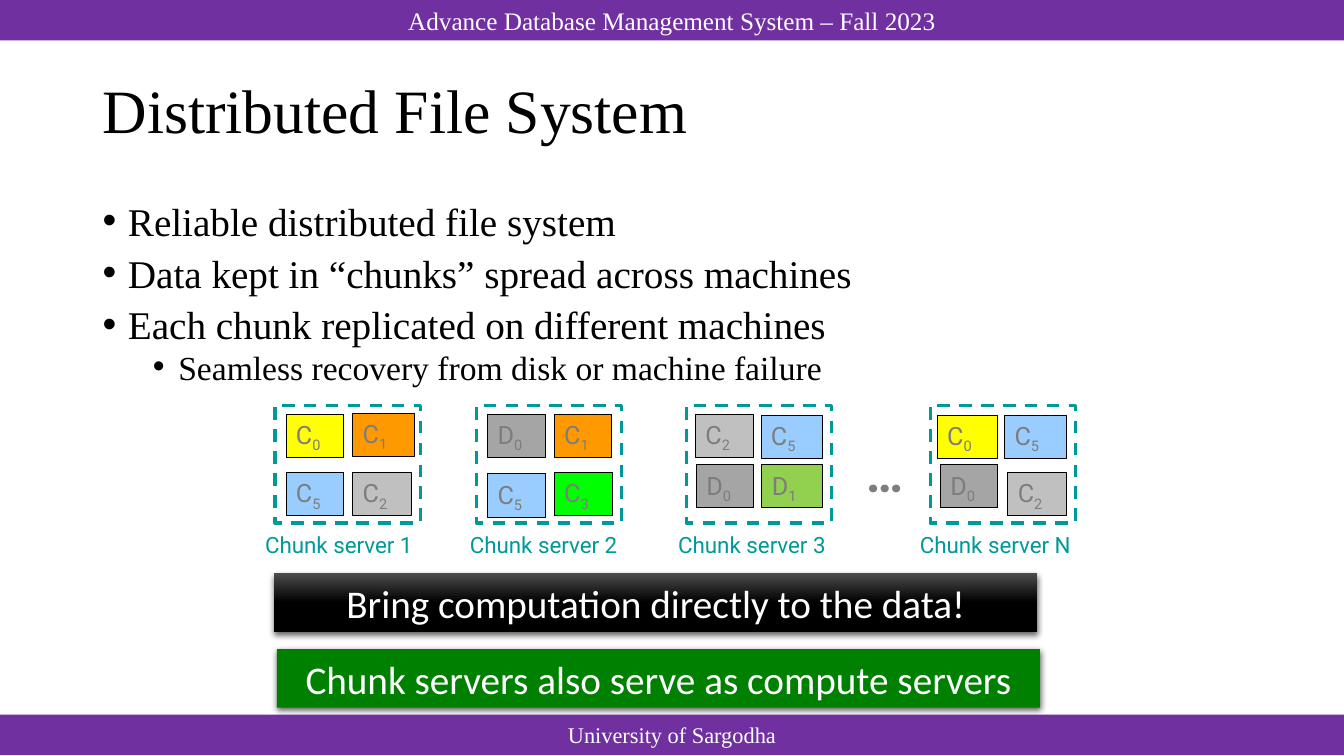
from lxml.etree import SubElement
from pptx import Presentation
from pptx.dml.color import RGBColor
from pptx.enum.dml import MSO_LINE
from pptx.enum.shapes import MSO_SHAPE
from pptx.enum.text import MSO_ANCHOR, MSO_AUTO_SIZE, PP_ALIGN
from pptx.oxml.ns import qn
from pptx.util import Cm, Pt

COLOURS = {
    "purple": "7030A0", "white": "FFFFFF", "black": "000000", "charcoal": "4B4B4B",
    "green": "008000", "teal": "009999", "grey": "7D7D7D",
    "C0": "FFFF00", "C1": "FF9900", "C2": "C0C0C0", "C3": "00FF00",
    "C5": "99CCFF", "D0": "A5A5A5", "D1": "92D050",
}
SERIF, SANS, BANNER_FONT = "Times New Roman", "Roboto", "Calibri"
SLIDE_WIDTH, SLIDE_HEIGHT = 33.87, 19.05
SERVER_TOP, SERVER_WIDTH, SERVER_HEIGHT = 10.21, 3.66, 2.97
CHUNK_HEIGHT = 1.09

POINTS = [
    ("Reliable distributed file system", 0),
    ("Data kept in “chunks” spread across machines", 0),
    ("Each chunk replicated on different machines", 0),
    ("Seamless recovery from disk or machine failure", 1),
]
LEVELS = [
    {"size": 28, "before": 10, "margin": 0.64},
    {"size": 24, "before": 5, "margin": 1.91},
]
SERVERS = [
    ("Chunk server 1", 6.93, 6.68, [
        ("C0", 7.21, 10.44, 1.45), ("C1", 8.89, 10.41, 1.55),
        ("C5", 7.21, 11.91, 1.45), ("C2", 8.89, 11.91, 1.47)]),
    ("Chunk server 2", 12.01, 11.84, [
        ("D0", 12.29, 10.44, 1.45), ("C1", 13.97, 10.44, 1.45),
        ("C5", 12.29, 11.94, 1.45), ("C3", 13.97, 11.91, 1.47)]),
    ("Chunk server 3", 17.3, 17.09, [
        ("C2", 17.53, 10.44, 1.47), ("C5", 19.18, 10.46, 1.55),
        ("D0", 17.55, 11.71, 1.45), ("D1", 19.2, 11.71, 1.52)]),
    ("Chunk server N", 23.44, 23.18, [
        ("C0", 23.62, 10.46, 1.52), ("C5", 25.32, 10.46, 1.55),
        ("D0", 23.7, 11.71, 1.45), ("C2", 25.4, 11.91, 1.47)]),
]


def colour(key):
    return RGBColor.from_string(COLOURS[key])


def apply(target, formats):
    for attribute, value in formats.items():
        setattr(target, attribute, value)


def box(*lengths):
    return [Cm(length) for length in lengths]


def write(paragraph, text, font, size, ink, bold=False):
    run = paragraph.add_run()
    run.text = text
    apply(run.font, {"name": font, "size": Pt(size), "bold": bold})
    run.font.color.rgb = colour(ink)
    return run


def add_block(slide, place, fill=None, outline=None, weight=0.75):
    block = slide.shapes.add_shape(MSO_SHAPE.RECTANGLE, *box(*place))
    block.shadow.inherit = False
    if fill:
        block.fill.solid()
        block.fill.fore_color.rgb = colour(fill)
    else:
        block.fill.background()
    if outline:
        block.line.color.rgb = colour(outline)
        block.line.width = Pt(weight)
    else:
        block.line.fill.background()
    return block


def add_bar(slide, place, fill, text, font, size):
    bar = add_block(slide, place, fill)
    bar.text_frame.vertical_anchor = MSO_ANCHOR.MIDDLE
    line = bar.text_frame.paragraphs[0]
    line.alignment = PP_ALIGN.CENTER
    write(line, text, font, size, "white")
    return bar


def add_banner(slide, place, fill, text):
    banner = add_bar(slide, place, fill, text, BANNER_FONT, 28)
    effects = banner._element.spPr.find(qn("a:effectLst"))
    shadow = SubElement(effects, qn("a:outerShdw"), blurRad="57150", dist="19050",
                        dir="5400000", algn="ctr", rotWithShape="0")
    tint = SubElement(shadow, qn("a:srgbClr"), val=COLOURS["black"])
    SubElement(tint, qn("a:alpha"), val="63000")
    return banner


def shade(banner):
    banner.fill.gradient()
    banner.fill.gradient_angle = 270
    stops = zip(banner.fill.gradient_stops, (("charcoal", 0), ("black", 0.5)))
    for stop, (key, position) in stops:
        stop.color.rgb = colour(key)
        stop.position = position


def add_label(slide, place, text, size, ink, bold=False):
    label = slide.shapes.add_textbox(*box(*place))
    apply(label.text_frame, {
        "word_wrap": True, "vertical_anchor": MSO_ANCHOR.MIDDLE,
        "margin_left": 0, "margin_right": 0,
    })
    write(label.text_frame.paragraphs[0], text, SANS, size, ink, bold)


def add_chunk(slide, code, left, top, width):
    chunk = add_block(slide, (left, top, width, CHUNK_HEIGHT), code, "black")
    apply(chunk.text_frame, {
        "word_wrap": True, "vertical_anchor": MSO_ANCHOR.TOP,
        "margin_left": Cm(0.25), "margin_right": 0, "margin_top": Cm(0.13),
    })
    line = chunk.text_frame.paragraphs[0]
    line.alignment = PP_ALIGN.LEFT
    write(line, code[0], SANS, 18, "grey")
    index = write(line, code[1], SANS, 18, "grey")
    index._r.get_or_add_rPr().set("baseline", "-25000")


def add_server(slide, name, left, name_left, chunks):
    for chunk in chunks:
        add_chunk(slide, *chunk)
    frame = add_block(slide, (left, SERVER_TOP, SERVER_WIDTH, SERVER_HEIGHT),
                      outline="teal", weight=2.25)
    frame.line.dash_style = MSO_LINE.DASH
    add_label(slide, (name_left, 13.13, 4.1, 1.19), name, 16, "teal")


def place_text(placeholder, place, anchor):
    apply(placeholder, dict(zip(("left", "top", "width", "height"), box(*place))))
    apply(placeholder.text_frame, {
        "vertical_anchor": anchor, "auto_size": MSO_AUTO_SIZE.NONE, "word_wrap": True,
    })
    return placeholder.text_frame


def fill_title(slide):
    frame = place_text(slide.shapes.title, (2.33, 1.01, 29.21, 3.68), MSO_ANCHOR.MIDDLE)
    heading = frame.paragraphs[0]
    apply(heading, {"alignment": PP_ALIGN.LEFT, "line_spacing": 0.9})
    write(heading, "Distributed File System", SERIF, 44, "black")


def fill_points(slide):
    frame = place_text(slide.placeholders[1], (2.33, 5.07, 29.21, 4.98), MSO_ANCHOR.TOP)
    for number, (text, level) in enumerate(POINTS):
        point = frame.add_paragraph() if number else frame.paragraphs[0]
        style = LEVELS[level]
        apply(point, {"level": level, "line_spacing": 0.8,
                      "space_before": Pt(style["before"])})
        write(point, text, SERIF, style["size"], "black")
        properties = point._p.get_or_add_pPr()
        properties.set("marL", str(Cm(style["margin"])))
        properties.set("indent", str(-Cm(0.64)))
        SubElement(properties, qn("a:buFont"), typeface="Arial")
        SubElement(properties, qn("a:buChar"), char="•")


def main():
    deck = Presentation()
    apply(deck, {"slide_width": Cm(SLIDE_WIDTH), "slide_height": Cm(SLIDE_HEIGHT)})
    slide = deck.slides.add_slide(deck.slide_layouts[1])
    add_bar(slide, (0, 0, SLIDE_WIDTH, 1.02), "purple",
            "Advance Database Management System – Fall 2023", SERIF, 18)
    fill_title(slide)
    fill_points(slide)
    add_bar(slide, (0, 18.01, SLIDE_WIDTH, 1.02), "purple",
            "University of Sargodha", SERIF, 16)
    for server in SERVERS:
        add_server(slide, *server)
    add_label(slide, (21.82, 11.07, 1.52, 1.68), "…", 36, "grey", True)
    shade(add_banner(slide, (6.91, 14.45, 19.23, 1.47), "black",
                     "Bring computation directly to the data!"))
    add_banner(slide, (6.98, 16.36, 19.23, 1.47), "green",
               "Chunk servers also serve as compute servers")
    deck.save("out.pptx")


if __name__ == "__main__":
    main()
